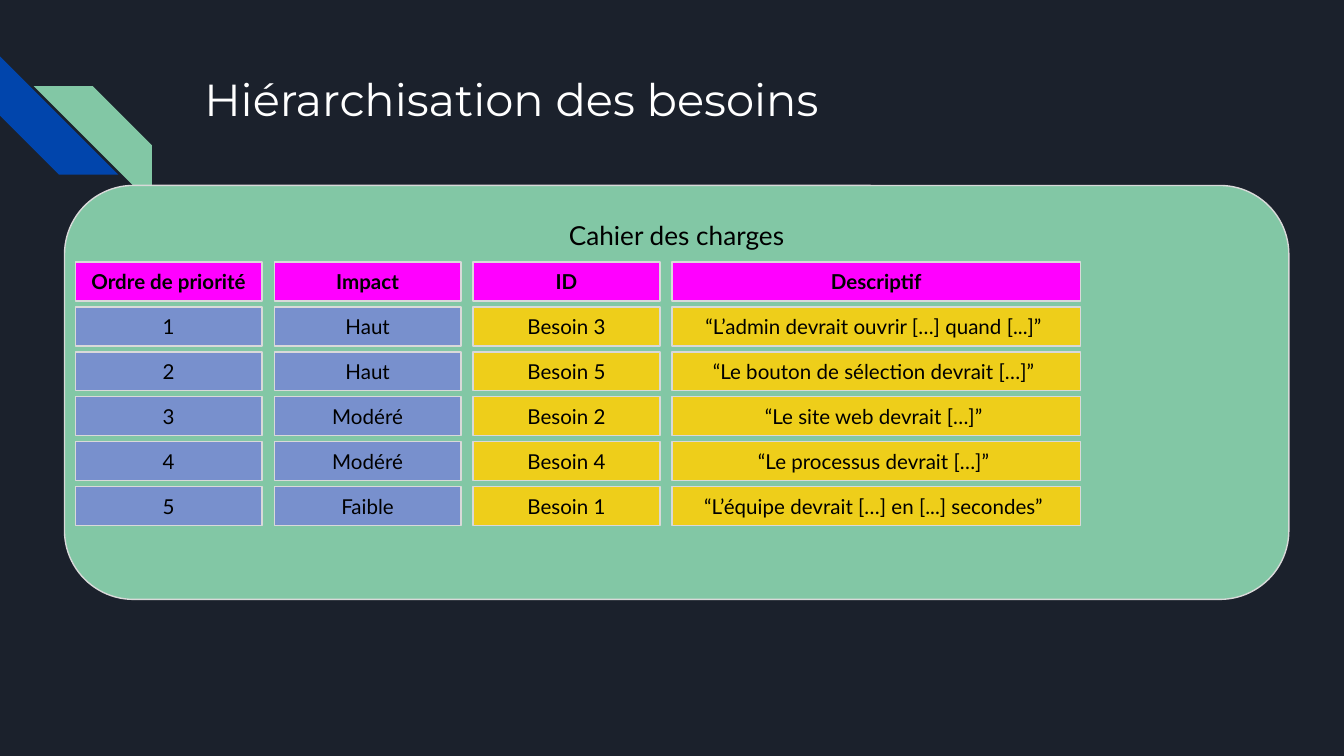
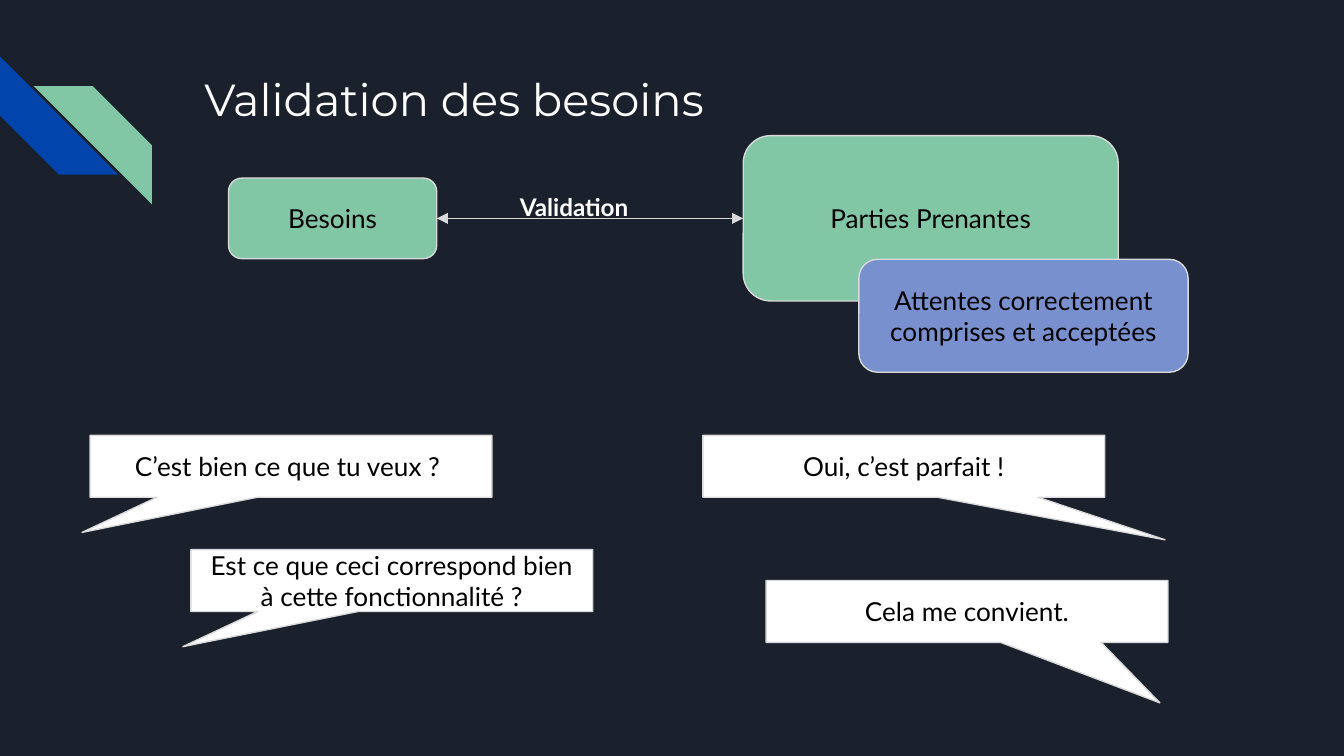
from lxml.etree import SubElement
from pptx import Presentation
from pptx.dml.color import RGBColor
from pptx.enum.shapes import MSO_CONNECTOR, MSO_SHAPE
from pptx.enum.text import MSO_ANCHOR, MSO_AUTO_SIZE, PP_ALIGN
from pptx.oxml.ns import qn
from pptx.util import Inches, Pt

NAVY = RGBColor(0x1B, 0x21, 0x2C)
BLUE = RGBColor(0x01, 0x45, 0xAC)
GREEN = RGBColor(0x82, 0xC7, 0xA5)
PERIWINKLE = RGBColor(0x78, 0x90, 0xCD)
YELLOW = RGBColor(0xEE, 0xCE, 0x1A)
MAGENTA = RGBColor(0xFF, 0x00, 0xFF)
GREY = RGBColor(0xD9, 0xD9, 0xD9)
WHITE = RGBColor(0xFF, 0xFF, 0xFF)
BLACK = RGBColor(0x00, 0x00, 0x00)

BODY_FONT = "Lato"
TITLE_FONT = "Montserrat"

NEEDS = [
    ("Ordre de priorité", "Impact", "ID", "Descriptif"),
    ("1", "Haut", "Besoin 3", "“L’admin devrait ouvrir […] quand [...]” "),
    ("2", "Haut", "Besoin 5", "“Le bouton de sélection devrait […]” "),
    ("3", "Modéré", "Besoin 2", "“Le site web devrait […]” "),
    ("4", "Modéré", "Besoin 4", "“Le processus devrait […]” "),
    ("5", "Faible", "Besoin 1", "“L’équipe devrait […] en [...] secondes” "),
]

# left, top, tail x, tail y (tail as a share of the bubble's size), text
BUBBLES = [
    (0, 0, -0.52, 1.07, "C’est bien ce que tu veux ? "),
    (0.75, 0.85, -0.52, 1.07,
     "Est ce que ceci correspond bien à cette fonctionnalité ?"),
    (4.56, 0, 0.65, 1.19, "Oui, c’est parfait !"),
    (5.03, 1.08, 0.48, 1.48, "Cela me convient."),
]


# Helpers
def set_text(sp, text, size, color=BLACK, font=BODY_FONT, bold=False,
             align=PP_ALIGN.CENTER, anchor=MSO_ANCHOR.MIDDLE):
    tf = sp.text_frame
    tf.text = text
    tf.word_wrap = True
    tf.auto_size = MSO_AUTO_SIZE.NONE
    tf.vertical_anchor = anchor
    tf.margin_left = tf.margin_right = Inches(0.1)
    tf.margin_top = tf.margin_bottom = Inches(0.1)
    p = tf.paragraphs[0]
    p.alignment = align
    f = p.runs[0].font
    f.name, f.size, f.bold = font, Pt(size), bold
    f.color.rgb = color


def add_box(parent, kind, box, fill, line=GREY):
    """Add a filled shape to a slide or a group."""
    sp = parent.shapes.add_shape(kind, *map(Inches, box))
    sp.shadow.inherit = False
    sp.fill.solid()
    sp.fill.fore_color.rgb = fill
    if line is None:
        sp.line.fill.background()
    else:
        sp.line.color.rgb = line
        sp.line.width = Pt(0.75)
    return sp


def add_double_arrow(slide, start, end):
    """Join the right side of start to the left side of end."""
    cn = slide.shapes.add_connector(MSO_CONNECTOR.STRAIGHT, 0, 0, 0, 0)
    cn.begin_connect(start, 3)
    cn.end_connect(end, 1)
    cn.line.color.rgb = GREY
    cn.line.width = Pt(0.75)
    ln = cn.line._get_or_add_ln()
    for tag in ("a:headEnd", "a:tailEnd"):
        SubElement(ln, qn(tag), type="triangle")
    SubElement(cn._element.spPr, qn("a:effectLst"))


# Shared slide frame
def move_to_layout(slide, group):
    """Let every slide of the layout show the group."""
    el = group._element
    for number, props in enumerate(el.iter(qn("p:cNvPr")), 100):
        props.set("id", str(number))
    slide.slide_layout.shapes._spTree.append(el)


def add_layout_stripes(slide, left, top):
    size = 0.88
    group = slide.shapes.add_group_shape()
    sp = add_box(group, MSO_SHAPE.DIAGONAL_STRIPE,
                 (left, top, size, size), BLUE, None)
    sp.rotation = 270
    sp = add_box(group, MSO_SHAPE.DIAGONAL_STRIPE,
                 (left + 0.25, top + 0.22, size, size), GREEN, None)
    sp._element.spPr.find(qn("a:xfrm")).set("flipH", "1")
    move_to_layout(slide, group)


def add_titled_slide(prs, title):
    slide = prs.slides.add_slide(prs.slide_layouts[5])
    sp = slide.shapes.title
    sp.left, sp.top = Inches(1.42), Inches(0.43)
    sp.width, sp.height = Inches(7.7), Inches(1)
    set_text(sp, title, 24, WHITE, TITLE_FONT,
             align=PP_ALIGN.LEFT, anchor=MSO_ANCHOR.TOP)
    return slide


# Priority panel: header row, then one row per need
def add_needs_panel(slide, left, top, width, height):
    panel = add_box(slide, MSO_SHAPE.ROUNDED_RECTANGLE,
                    (left, top, width, height), GREEN)
    set_text(panel, "Cahier des charges", 14, anchor=MSO_ANCHOR.TOP)

    widths = (1.39, 1.39, 1.39, 3.04)
    fills = (PERIWINKLE, PERIWINKLE, YELLOW, YELLOW)
    row_height, row_step, gap = 0.29, 1.67 / 5, 0.09
    for row, texts in enumerate(NEEDS):
        header = row == 0
        x, y = left + 0.08, top + 0.57 + row * row_step
        for text, w, fill in zip(texts, widths, fills):
            cell = add_box(slide, MSO_SHAPE.RECTANGLE, (x, y, w, row_height),
                           MAGENTA if header else fill)
            set_text(cell, text, 11, bold=header)
            x += w + gap


# Validation diagram: needs <-> stakeholders
def add_validation_diagram(slide, left, top):
    def node(text, x, y, w, h, fill):
        sp = add_box(slide, MSO_SHAPE.ROUNDED_RECTANGLE,
                     (left + x, top + y, w, h), fill)
        set_text(sp, text, 14)
        return sp

    needs_height, stakeholders_height = 0.6, 1.23
    needs = node("Besoins", 0, (stakeholders_height - needs_height) / 2,
                 1.55, needs_height, GREEN)
    stakeholders = node("Parties Prenantes", 3.83, 0,
                        2.79, stakeholders_height, GREEN)
    add_double_arrow(slide, needs, stakeholders)

    label = slide.shapes.add_textbox(Inches(left + 2.07), Inches(top + 0.32),
                                     Inches(1.37), Inches(0.2))
    set_text(label, "Validation", 13, WHITE, bold=True,
             align=PP_ALIGN.LEFT, anchor=MSO_ANCHOR.TOP)
    node("Attentes correctement comprises et acceptées",
         4.69, 0.92, 2.45, 0.84, PERIWINKLE)


# Dialogue: questions on the left, answers on the right
def add_dialogue(slide, left, top):
    for x, y, tail_x, tail_y, text in BUBBLES:
        sp = add_box(slide, MSO_SHAPE.ROUNDED_RECTANGULAR_CALLOUT,
                     (left + x, top + y, 2.99, 0.46), WHITE)
        for i, value in enumerate((tail_x, tail_y, 0)):
            sp.adjustments[i] = value
        set_text(sp, text, 14)


def main():
    prs = Presentation()
    prs.slide_width = Inches(10)
    prs.slide_height = Inches(10 * 9 / 16)
    fill = prs.slide_master.background.fill
    fill.solid()
    fill.fore_color.rgb = NAVY

    slide = add_titled_slide(prs, "Hiérarchisation des besoins")
    add_layout_stripes(slide, 0, 0.42)
    add_needs_panel(slide, 0.48, 1.38, 9.11, 3.08)

    slide = add_titled_slide(prs, "Validation des besoins")
    add_validation_diagram(slide, 1.7, 1.01)
    add_dialogue(slide, 0.67, 3.24)

    prs.save("out.pptx")


if __name__ == "__main__":
    main()
